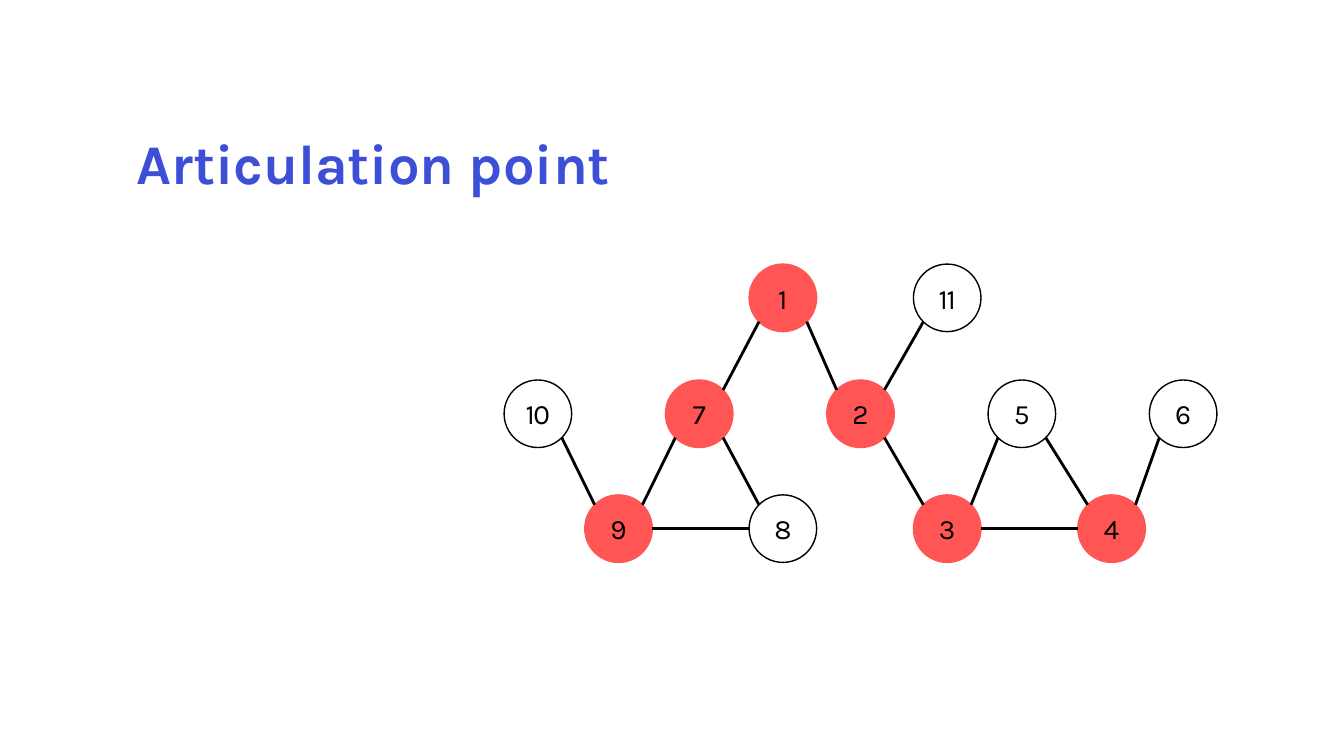
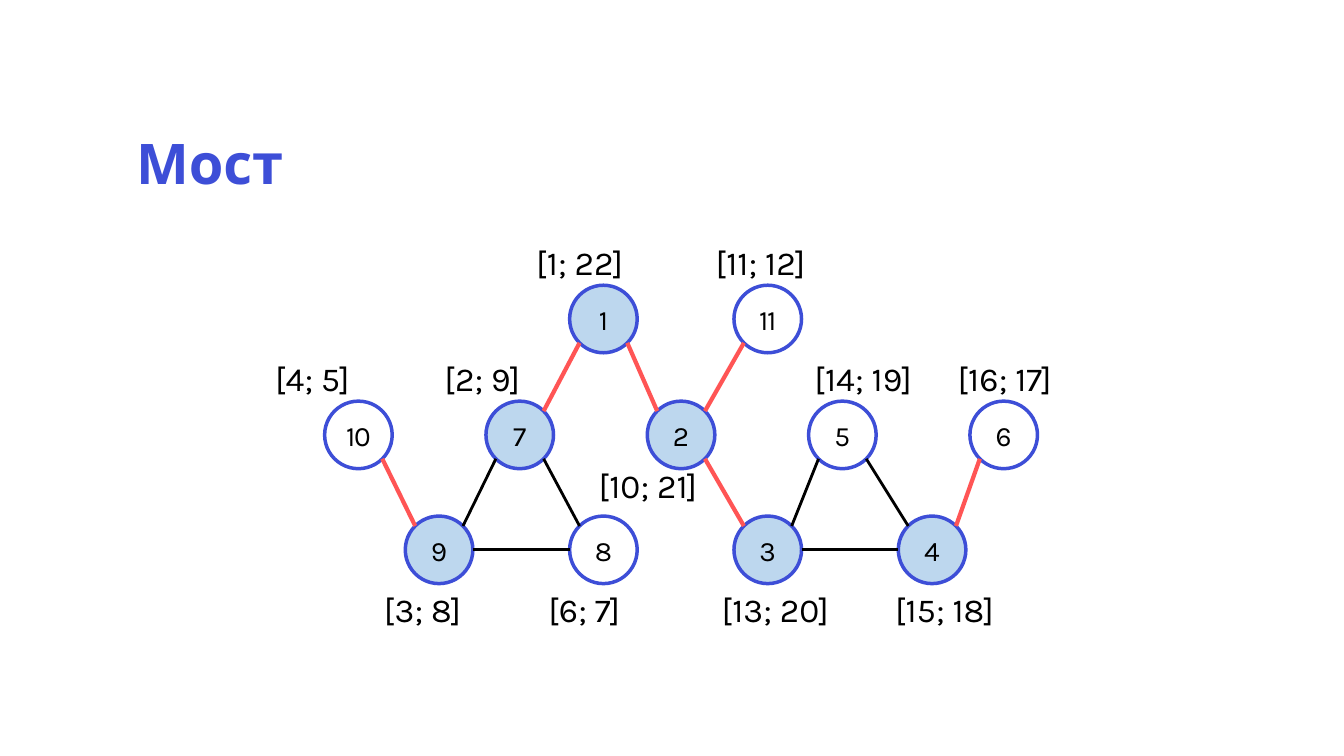
"""Builds two slides showing articulation points and bridges of one graph."""
from math import sqrt

from pptx import Presentation
from pptx.dml.color import RGBColor
from pptx.enum.shapes import MSO_CONNECTOR as Connector, MSO_SHAPE as Preset
from pptx.enum.text import MSO_ANCHOR as Anchor, PP_ALIGN as Align
from pptx.oxml.ns import qn
from pptx.util import Inches, Pt
from lxml import etree

FONT = "Karla"
BLUE, RED, PALE, BLACK, WHITE = "3D4ED7", "FF5555", "BDD7EE", "000000", "FFFFFF"
DIAMETER = 0.67
RADIUS = DIAMETER / 2

ROW_TOPS = (0, 1.15, 2.29)
OUTER_START, OUTER_STEP, MIDDLE_STEP = 0.8, 1.63, 1.6
NODES = {
    1: (0, 1), 11: (0, 2),
    10: (1, 0), 7: (1, 1), 2: (1, 2), 5: (1, 3), 6: (1, 4),
    9: (2, 0), 8: (2, 1), 3: (2, 2), 4: (2, 3),
}
ARTICULATION_POINTS = {1, 2, 3, 4, 7, 9}
BRIDGES = [(1, 7), (1, 2), (11, 2), (2, 3), (10, 9), (6, 4)]
CYCLE_EDGES = [(7, 9), (7, 8), (9, 8), (5, 3), (5, 4), (3, 4)]

ABOVE, BELOW = -0.48, 0.67
INTERVALS = {
    1: ("[1; 22]", -0.43, ABOVE), 11: ("[11; 12]", -0.28, ABOVE),
    10: ("[4; 5]", -0.59, ABOVE), 7: ("[2; 9]", -0.51, ABOVE),
    2: ("[10; 21]", -0.58, 0.58), 5: ("[14; 19]", -0.04, ABOVE),
    6: ("[16; 17]", -0.22, ABOVE), 9: ("[3; 8]", -0.31, BELOW),
    8: ("[6; 7]", -0.31, BELOW), 3: ("[13; 20]", -0.22, BELOW),
    4: ("[15; 18]", -0.13, BELOW),
}

PLAIN_EDGE = (BLACK, 2)
SLIDES = [
    {"title": "Articulation point", "origin": (5, 2.62),
     "marked": (RED, RED, 1), "plain": (WHITE, BLACK, 1),
     "bridge": PLAIN_EDGE, "intervals": {}},
    {"title": "Мост", "origin": (3.22, 2.83),
     "marked": (PALE, BLUE, 2.5), "plain": (WHITE, BLUE, 2.5),
     "bridge": (RED, 3), "intervals": INTERVALS},
]


def color(value):
    return RGBColor.from_string(value)


def style_font(paragraph, size, value, bold=False):
    font = paragraph.font
    font.name, font.size, font.bold = FONT, Pt(size), bold
    font.color.rgb = color(value)


def node_positions(origin):
    left, top = origin
    positions = {}
    for node, (row, index) in NODES.items():
        x = MIDDLE_STEP * index if row == 1 else OUTER_START + OUTER_STEP * index
        positions[node] = (left + x, top + ROW_TOPS[row])
    return positions


def add_title(slide, text):
    title = slide.shapes.title
    title.text = text
    title.text_frame.vertical_anchor = Anchor.MIDDLE
    paragraph = title.text_frame.paragraphs[0]
    paragraph.alignment, paragraph.line_spacing = Align.LEFT, 0.9
    style_font(paragraph, 40, BLUE, bold=True)


def add_node(slide, number, position, style):
    fill, outline, width = style
    left, top = map(Inches, position)
    shape = slide.shapes.add_shape(
        Preset.OVAL, left, top, Inches(DIAMETER), Inches(DIAMETER))
    shape.shadow.inherit = False
    shape.fill.solid()
    shape.fill.fore_color.rgb = color(fill)
    shape.line.color.rgb = color(outline)
    shape.line.width = Pt(width)
    frame = shape.text_frame
    frame.margin_left = frame.margin_right = 0
    frame.margin_top = frame.margin_bottom = 0
    frame.vertical_anchor = Anchor.MIDDLE
    paragraph = frame.paragraphs[0]
    paragraph.alignment = Align.CENTER
    run = paragraph.add_run()
    run.text = str(number)
    run._r.get_or_add_rPr().set("spc", "-100")
    style_font(paragraph, 20, BLACK)


def add_edge(slide, start, end, style):
    value, width = style
    directions = [(b > a) - (b < a) for a, b in zip(start, end)]
    reach = RADIUS / sqrt(sum(map(abs, directions)))
    begin = [Inches(a + RADIUS + d * reach) for a, d in zip(start, directions)]
    finish = [Inches(b + RADIUS - d * reach) for b, d in zip(end, directions)]
    line = slide.shapes.add_connector(Connector.STRAIGHT, *begin, *finish)
    line.line.color.rgb = color(value)
    line.line.width = Pt(width)
    etree.SubElement(line._element.spPr, qn("a:effectLst"))


def add_interval(slide, position, text, shift_x, shift_y):
    left, top = position
    box = slide.shapes.add_textbox(
        Inches(left + shift_x), Inches(top + shift_y), Inches(1.4), Inches(0.5))
    box.text_frame.word_wrap = True
    paragraph = box.text_frame.paragraphs[0]
    paragraph.text = text
    style_font(paragraph, 24, BLACK)


def add_graph_slide(presentation, layout, content):
    slide = presentation.slides.add_slide(layout)
    add_title(slide, content["title"])
    positions = node_positions(content["origin"])
    for node, position in positions.items():
        kind = "marked" if node in ARTICULATION_POINTS else "plain"
        add_node(slide, node, position, content[kind])
    for edges, style in ((BRIDGES, content["bridge"]), (CYCLE_EDGES, PLAIN_EDGE)):
        for start, end in edges:
            add_edge(slide, positions[start], positions[end], style)
    for node, interval in content["intervals"].items():
        add_interval(slide, positions[node], *interval)


def main():
    presentation = Presentation()
    presentation.slide_width, presentation.slide_height = Inches(13.33), Inches(7.5)
    layout = presentation.slide_layouts.get_by_name("Title Only")
    title = layout.placeholders[0]
    title.left, title.top = Inches(1.25), Inches(1.25)
    title.width, title.height = Inches(10.85), Inches(0.8)
    for content in SLIDES:
        add_graph_slide(presentation, layout, content)
    presentation.save("out.pptx")


if __name__ == "__main__":
    main()
